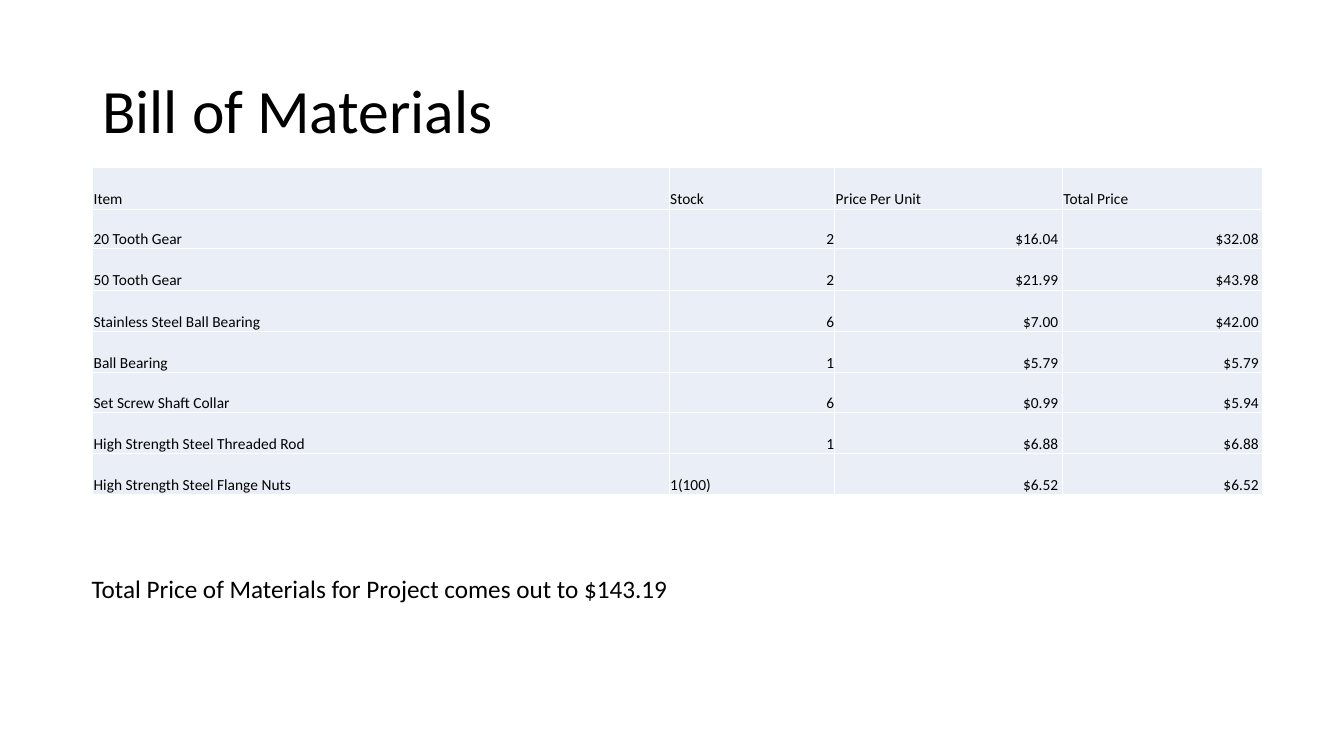
from lxml import etree
from pptx import Presentation
from pptx.dml.color import RGBColor
from pptx.enum import text
from pptx.oxml import ns
from pptx.util import Cm, Pt

TITLE = "Bill of Materials"
TOTAL = "Total Price of Materials for Project comes out to $143.19"
HEADER = ("Item", "Stock", "Price Per Unit", "Total Price")
ITEMS = [
    ("20 Tooth Gear", "2", "$16.04", "$32.08"),
    ("50 Tooth Gear", "2", "$21.99", "$43.98"),
    ("Stainless Steel Ball Bearing", "6", "$7.00", "$42.00"),
    ("Ball Bearing", "1", "$5.79", "$5.79"),
    ("Set Screw Shaft Collar", "6", "$0.99", "$5.94"),
    ("High Strength Steel Threaded Rod", "1", "$6.88", "$6.88"),
    ("High Strength Steel Flange Nuts", "1(100)", "$6.52", "$6.52"),
]
COL_WIDTHS = (14.53, 4.17, 5.74, 5.05)
ROW_HEIGHTS = (1.04, 1, 1.04, 1.04, 1.04, 1, 1.04, 1.04)
FONT, BLACK, WHITE, PALE_BLUE = "Calibri", "000000", "FFFFFF", "EAEFF7"


def color(value):
    return RGBColor.from_string(value)


def write(tf, words, size):
    tf.text = words
    p = tf.paragraphs[0]
    font = p.runs[0].font
    font.name, font.size = FONT, Pt(size)
    font.color.rgb = color(BLACK)
    return p


def add_text(s, box, words, size, anchor):
    tf = s.shapes.add_textbox(*map(Cm, box)).text_frame
    tf.word_wrap = True
    tf.vertical_anchor = anchor
    return write(tf, words, size)


def add_borders(cell):
    tc_pr = cell._tc.get_or_add_tcPr()
    for side in ("a:lnL", "a:lnR", "a:lnT", "a:lnB"):
        ln = etree.SubElement(tc_pr, ns.qn(side), w=str(Pt(1)))
        fill = etree.SubElement(ln, ns.qn("a:solidFill"))
        etree.SubElement(fill, ns.qn("a:srgbClr"), val=WHITE)


def fill_cell(cell, words):
    add_borders(cell)
    cell.fill.solid()
    cell.fill.fore_color.rgb = color(PALE_BLUE)
    cell.vertical_anchor = text.MSO_ANCHOR.BOTTOM
    is_price = words.startswith("$")
    cell.margin_left = cell.margin_top = Cm(0.02)
    cell.margin_right = Cm(0.11 if is_price else 0.02)
    cell.margin_bottom = 0
    p = write(cell.text_frame, words, 11)
    if is_price or words.isdigit():
        p.alignment = text.PP_ALIGN.RIGHT


def add_materials(s, left, top):
    rows = [HEADER, *ITEMS]
    size = Cm(sum(COL_WIDTHS)), Cm(sum(ROW_HEIGHTS))
    table = s.shapes.add_table(len(rows), len(HEADER), Cm(left), Cm(top), *size).table
    table.first_row = table.horz_banding = False
    for col, width in zip(table.columns, COL_WIDTHS):
        col.width = Cm(width)
    for row, height, words in zip(table.rows, ROW_HEIGHTS, rows):
        row.height = Cm(height)
        for cell, value in zip(row.cells, words):
            fill_cell(cell, value)


def main():
    prs = Presentation()
    prs.slide_width, prs.slide_height = Cm(33.87), Cm(19.05)
    s = prs.slides.add_slide(prs.slide_layouts[6])
    title = add_text(s, (2.33, 1.01, 29.21, 3.68), TITLE, 44, text.MSO_ANCHOR.MIDDLE)
    title.line_spacing = 0.9
    add_materials(s, 2.34, 4.23)
    add_text(s, (2.06, 14.33, 29.23, 1.03), TOTAL, 18, text.MSO_ANCHOR.TOP)
    prs.save("out.pptx")


if __name__ == "__main__":
    main()
